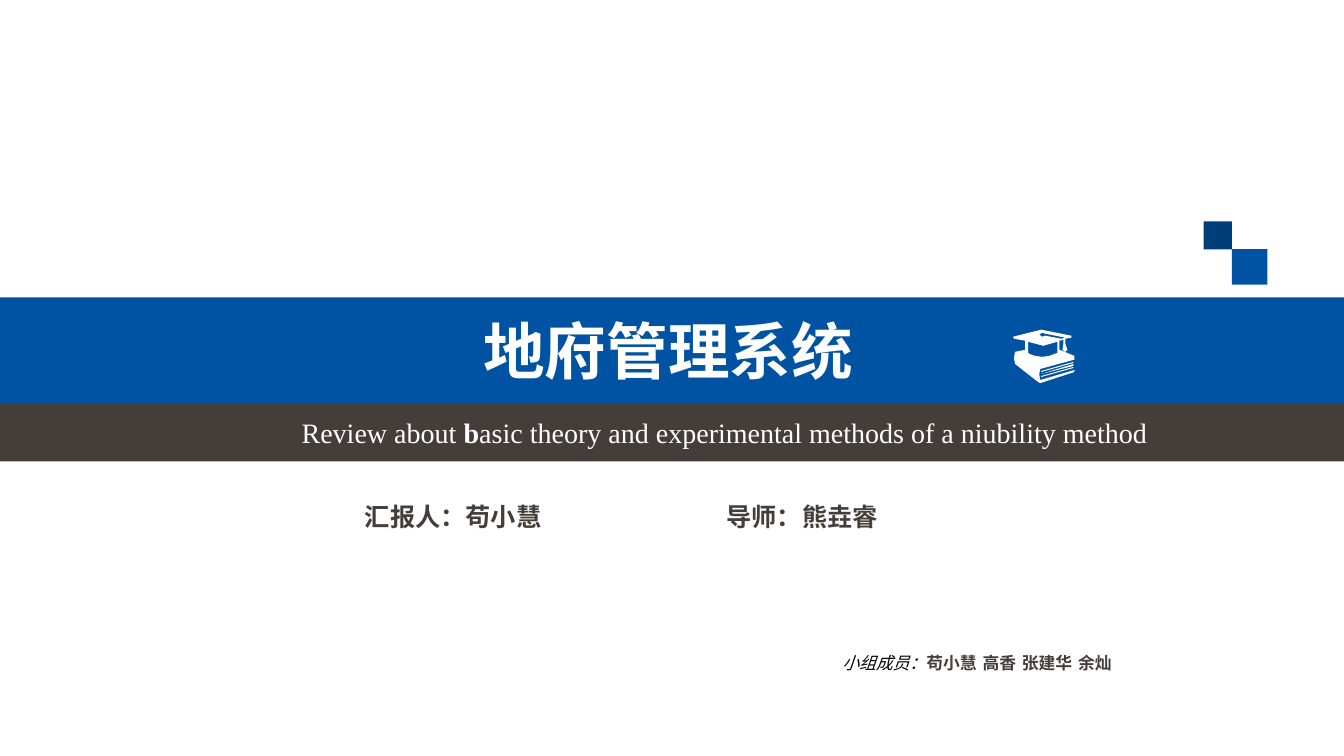
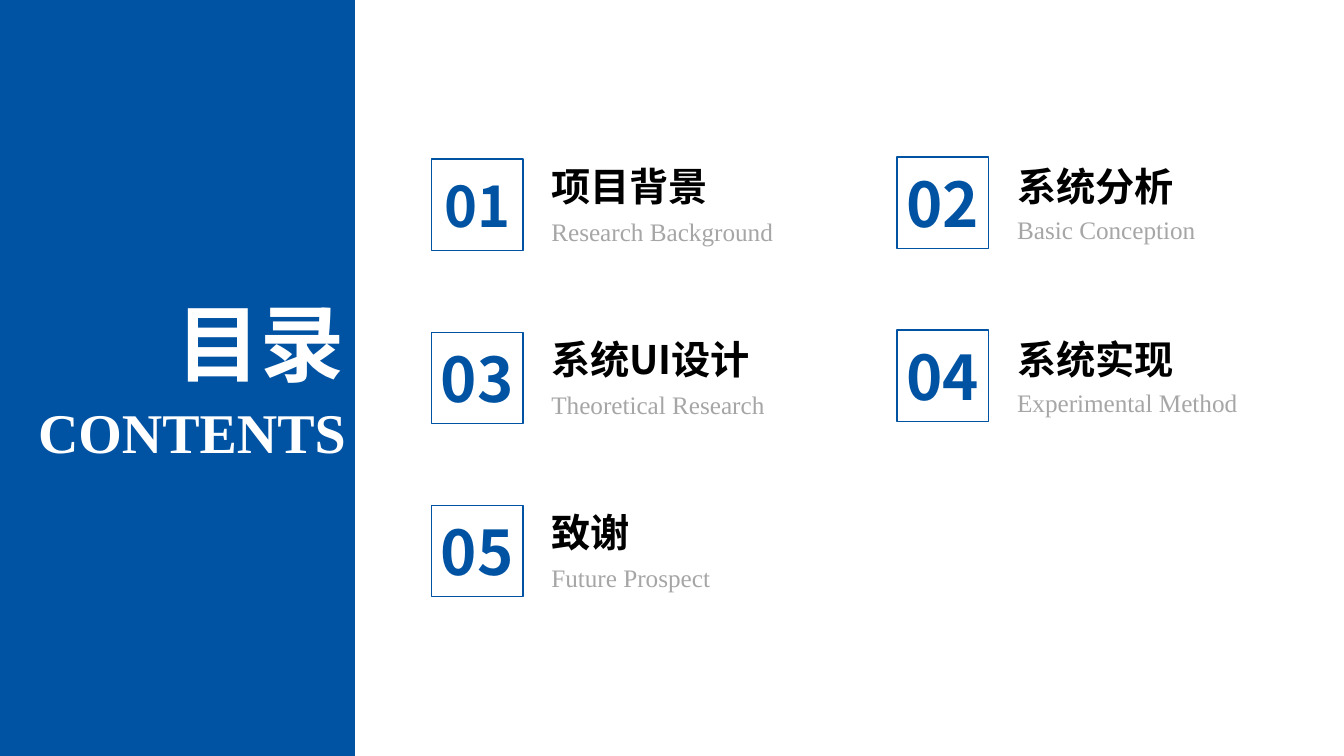
import pptx
import pptx.dml.color
import pptx.enum.shapes
import pptx.enum.text
import pptx.oxml.ns
import pptx.util
from lxml import etree

RGBColor = pptx.dml.color.RGBColor
Align = pptx.enum.text.PP_ALIGN
qn = pptx.oxml.ns.qn

BLUE = RGBColor(0x00, 0x53, 0xA3)
NAVY = RGBColor(0x00, 0x3E, 0x7A)
BROWN = RGBColor(0x45, 0x3D, 0x3A)
GREY = RGBColor(0xA6, 0xA6, 0xA6)
WHITE = RGBColor(0xFF, 0xFF, 0xFF)
BLACK = RGBColor(0x00, 0x00, 0x00)

COVER_FONT = "DejaVu Sans"
CHINESE_FONT = "Noto Sans CJK SC"
LATIN_FONT = "Times New Roman"

COLUMNS, ROWS = 32, 18
TITLE_SLIDE, TITLE_ONLY = 0, 5

# Outlines of the cap and book, in hundredths of an inch
CAP_AND_BOOK = [
    [(52, 14), (54, 20), (52, 22), (49, 20), (50, 14), (50, 10), (46, 11),
     (46, 20), (61, 26), (61, 30), (60, 30), (27, 39), (26, 44), (27, 50),
     (61, 40), (61, 42), (27, 53), (25, 52), (2, 34), (1, 28), (2, 22),
     (12, 20), (12, 11), (1, 9), (0, 7), (28, 0), (58, 6), (58, 8), (52, 9)],
    [(15, 12), (15, 23), (16, 24), (22, 26), (29, 27), (36, 26), (44, 23),
     (44, 12), (30, 16)],
    [(48, 9), (52, 8), (32, 4), (29, 3), (26, 5), (29, 7), (32, 6)],
] + [[(28, y), (28, y + 1), (60, y - 8), (60, y - 9)] for y in (41, 43.5, 46)]


class Deck:
    """Style and current slide; lengths are cells of a 32 by 18 grid."""

    def __init__(self):
        self.prs = pptx.Presentation()
        self.prs.slide_width = pptx.util.Inches(13.333)
        self.prs.slide_height = pptx.util.Inches(7.5)
        self.slide = None

    def new_slide(self, layout):
        self.slide = self.prs.slides.add_slide(self.prs.slide_layouts[layout])

    def cells(self, left, top, width, height):
        column = self.prs.slide_width / COLUMNS
        row = self.prs.slide_height / ROWS
        return [round(length) for length in
                (left * column, top * row, width * column, height * row)]

    def rect(self, box, fill=None, line=None):
        shape = self.slide.shapes.add_shape(
            pptx.enum.shapes.MSO_SHAPE.RECTANGLE, *self.cells(*box))
        self.paint(shape, fill, line)

    def paint(self, shape, fill, line=None):
        shape.shadow.inherit = False
        if fill is None:
            shape.fill.background()
        else:
            shape.fill.solid()
            shape.fill.fore_color.rgb = fill
        if line is None:
            shape.line.fill.background()
        else:
            shape.line.color.rgb = line
            shape.line.width = pptx.util.Pt(1)

    def outline(self, left, top, contours, fill):
        unit = pptx.util.Inches(0.01)
        first, *others = contours
        builder = self.slide.shapes.build_freeform(*first[0], scale=unit)
        builder.add_line_segments(first[1:], close=True)
        for contour in others:
            builder.move_to(*contour[0])
            builder.add_line_segments(contour[1:], close=True)
        x, y, _, _ = self.cells(left, top, 0, 0)
        self.paint(builder.convert_to_shape(x, y), fill)

    def text(self, box, runs, **style):
        shape = self.slide.shapes.add_textbox(*self.cells(*box))
        return self.set_text(shape, runs, **style)

    def placeholder(self, index, box, runs, **style):
        """Move a template placeholder to the front and fill it."""
        shape = self.slide.placeholders[index]
        shape.left, shape.top, shape.width, shape.height = self.cells(*box)
        self.slide.shapes._spTree.append(shape._element)
        return self.set_text(shape, runs, **style)

    def set_text(self, shape, runs, size, font, color, bold=False,
                 align=Align.LEFT):
        frame = shape.text_frame
        frame.word_wrap = True
        frame.auto_size = pptx.enum.text.MSO_AUTO_SIZE.SHAPE_TO_FIT_TEXT
        frame.vertical_anchor = pptx.enum.text.MSO_ANCHOR.TOP
        paragraph = frame.paragraphs[0]
        paragraph.alignment = align
        paragraph.space_before = pptx.util.Pt(0)
        paragraph.font.size = pptx.util.Pt(size)
        paragraph.font.bold = bold
        paragraph.font.color.rgb = color
        paragraph.font.name = font
        defaults = paragraph._p.pPr.find(qn("a:defRPr"))
        etree.SubElement(defaults, qn("a:ea")).set("typeface", font)
        for words in [runs] if isinstance(runs, str) else runs:
            paragraph.add_run().text = words
        return paragraph.runs


def cover(deck):
    deck.new_slide(TITLE_SLIDE)
    deck.rect((0, 9.62, COLUMNS, 1.37), BROWN)
    deck.rect((0, 7.08, COLUMNS, 2.54), BLUE)
    deck.placeholder(0, (5.04, 7.34, 21.74, 2.02), "地府管理系统", size=44,
                     font=COVER_FONT, color=WHITE, bold=True, align=Align.CENTER)
    for left, width, person in ((8.45, 8.04, "汇报人：苟小慧"),
                                (17.06, 4.56, "导师：熊垚睿")):
        deck.text((left, 11.81, width, 0.96), person, size=18,
                  font=COVER_FONT, color=BROWN, bold=True)
    deck.rect((29.33, 5.93, 0.85, 0.85), BLUE)
    deck.rect((28.66, 5.27, 0.67, 0.67), NAVY)

    _, initial, _ = deck.placeholder(
        1, (6.94, 9.77, 21.74, 1.06),
        ["Review about ", "b",
         "asic theory and experimental methods of a niubility method"],
        size=20, font=LATIN_FONT, color=WHITE)
    initial.font.bold = True

    deck.outline(24.12, 7.85, CAP_AND_BOOK, WHITE)
    label, members = deck.text(
        (19.82, 15.43, 9.05, 1.2), ["小组成员：", "苟小慧 高香 张建华 余灿"],
        size=12, font=COVER_FONT, color=BLACK)
    label.font.italic = True
    members.font.bold = True
    members.font.color.rgb = BROWN


def contents(deck):
    deck.new_slide(TITLE_ONLY)
    deck.rect((0, 0, 8.45, ROWS), BLUE)
    deck.placeholder(0, (2.35, 6.82, 6.1, 2.66), "目录", size=60,
                     font=CHINESE_FONT, color=WHITE, bold=True, align=Align.RIGHT)
    deck.text((0, 9.34, 8.47, 1.85), "CONTENTS", size=40,
              font=LATIN_FONT, color=WHITE, bold=True, align=Align.RIGHT)

    chapters = (("项目背景", "Research Background"),
                ("系统分析", "Basic Conception"),
                ("系统UI设计", "Theoretical Research"),
                ("系统实现", "Experimental Method"),
                ("致谢", "Future Prospect"))
    for index, (chapter, english) in enumerate(chapters):
        row, column = divmod(index, 2)
        left = 10.27 + 11.09 * column
        chapter_top = 3.74 + 4.12 * row
        top = chapter_top + (0 if column else 0.05)
        number_size, number_drop = (44, 0.1) if index else (40, 0.17)
        deck.text((left + 2.62, chapter_top, 6.29, 1.4), chapter, size=28,
                  font=CHINESE_FONT, color=BLACK, bold=True)
        deck.text((left + 2.62, top + 1.24, 6.29, 0.96), english, size=18,
                  font=LATIN_FONT, color=GREY)
        deck.text((left - 0.1, top + number_drop, 2.38, 2.02), f"{index + 1:02}",
                  size=number_size, font=CHINESE_FONT, color=BLUE, bold=True,
                  align=Align.CENTER)
        deck.rect((left, top, 2.18, 2.18), line=BLUE)


def main():
    deck = Deck()
    cover(deck)
    contents(deck)
    deck.prs.save("out.pptx")


if __name__ == "__main__":
    main()
